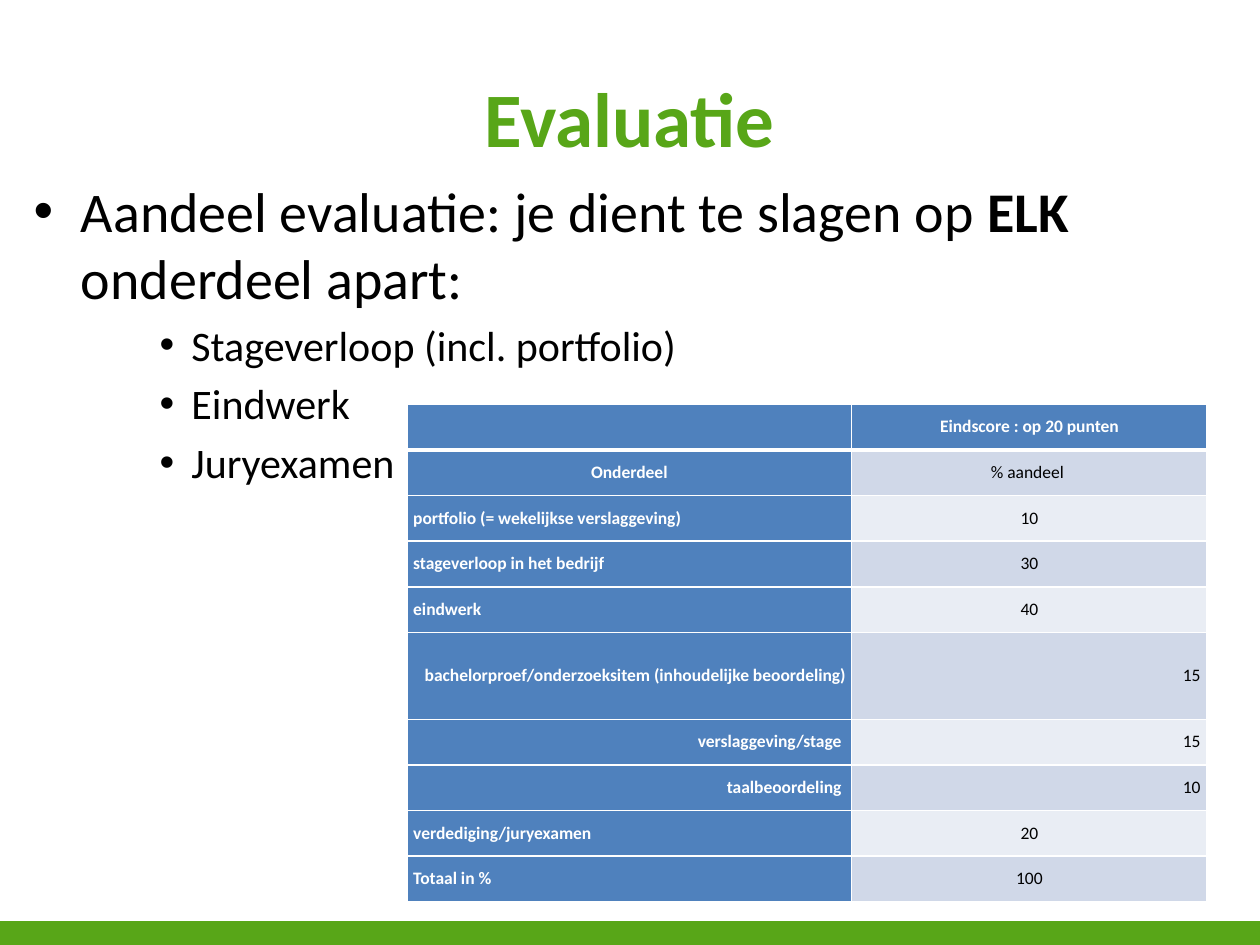
from pptx import Presentation
from pptx.dml.color import RGBColor
from pptx.enum.shapes import MSO_SHAPE as Shape
from pptx.enum.text import MSO_ANCHOR as Anchor, PP_ALIGN as Align
from pptx.oxml.xmlchemy import OxmlElement as Node
from pptx.util import Cm, Pt

GREEN, BLUE, WHITE, BLACK = "58A618", "4F81BD", "FFFFFF", "000000"
BANDS = ["D0D8E8", "E9EDF4"]
LEFT, MID, RIGHT = Align.LEFT, Align.CENTER, Align.RIGHT

HEAD = ("", "Eindscore : op 20 punten", MID, MID)
ROWS = [
    ("Onderdeel", "% aandeel ", MID, MID),
    ("portfolio (= wekelijkse verslaggeving)", "10", LEFT, MID),
    ("stageverloop in het bedrijf", "30", LEFT, MID),
    ("eindwerk", "40", LEFT, MID),
    ("bachelorproef/onderzoeksitem (inhoudelijke beoordeling)", "15", RIGHT, RIGHT),
    ("verslaggeving/stage ", "15", RIGHT, RIGHT),
    ("taalbeoordeling ", "10", RIGHT, RIGHT),
    ("verdediging/juryexamen", "20", LEFT, MID),
    ("Totaal in %", "100", LEFT, MID),
]
TALL = 5


def color(code):
    return RGBColor.from_string(code)


def bullet(para, left, hang):
    """Give the paragraph a round bullet; left and hang are in cm."""
    props = para._p.get_or_add_pPr()
    props.set("marL", str(Cm(left)))
    props.set("indent", str(-Cm(hang)))
    font = Node("a:buFont")
    font.set("typeface", "Arial")
    mark = Node("a:buChar")
    mark.set("char", "•")
    props.extend([font, mark])


def border(cell, top, base):
    """Draw white cell edges; top and base are widths in points."""
    props = cell._tc.get_or_add_tcPr()
    for side, width in zip("LRTB", (1, 1, top, base)):
        line = Node(f"a:ln{side}")
        line.set("w", str(Pt(width)))
        fill = Node("a:solidFill")
        tint = Node("a:srgbClr")
        tint.set("val", WHITE)
        fill.append(tint)
        line.append(fill)
        props.append(line)


class Deck:
    """Holds the font and the current slide."""

    def __init__(self, slide, font="Calibri"):
        self.slide = slide
        self.font = font

    def run(self, para, text, size, ink=BLACK, bold=False):
        run = para.add_run()
        run.text = text
        font = run.font
        font.name, font.size, font.bold = self.font, Pt(size), bold
        font.color.rgb = color(ink)

    def bar(self, x, y, w, h, fill):
        bar = self.slide.shapes.add_shape(Shape.RECTANGLE, Cm(x), Cm(y), Cm(w), Cm(h))
        bar.shadow.inherit = False
        bar.fill.solid()
        bar.fill.fore_color.rgb = color(fill)
        bar.line.fill.background()

    def box(self, x, y, w, h, anchor=Anchor.TOP):
        box = self.slide.shapes.add_textbox(Cm(x), Cm(y), Cm(w), Cm(h))
        frame = box.text_frame
        frame.word_wrap = True
        frame.vertical_anchor = anchor
        return frame

    def title(self, text):
        para = self.box(1.27, 0.76, 22.86, 3.18, Anchor.MIDDLE).paragraphs[0]
        para.alignment = MID
        self.run(para, text, 44, GREEN, True)

    def body(self, lead, items):
        """Write the lead, a list of (text, bold), and the items below it."""
        frame = self.box(0.43, 3.43, 22.86, 12.57)
        para = frame.paragraphs[0]
        para.space_before = Pt(6.4)
        bullet(para, 0.95, 0.95)
        for text, bold in lead:
            self.run(para, text, 32, bold=bold)
        for item in items:
            para = frame.add_paragraph()
            para.level = 2
            para.space_before = Pt(4.8)
            bullet(para, 3.18, 0.64)
            self.run(para, item, 24)

    def cell(self, cell, text, align, fill, ink, bold):
        cell.margin_left = cell.margin_right = Cm(0.13)
        cell.margin_top = cell.margin_bottom = 0
        cell.vertical_anchor = Anchor.MIDDLE
        cell.fill.solid()
        cell.fill.fore_color.rgb = color(fill)
        para = cell.text_frame.paragraphs[0]
        para.alignment = align
        para.line_spacing = Pt(12)
        if text:
            self.run(para, text, 10, ink, bold)

    def table(self, x, y, cols, high, tall):
        rows = [HEAD] + ROWS
        total = high * (len(rows) - 1) + tall
        table = self.slide.shapes.add_table(
            len(rows), len(cols), Cm(x), Cm(y), Cm(sum(cols)), Cm(total)).table
        for col, width in zip(table.columns, cols):
            col.width = Cm(width)
        for i, (name, score, *sides) in enumerate(rows):
            table.rows[i].height = Cm(tall if i == TALL else high)
            for j, text in enumerate((name, score)):
                cell = table.cell(i, j)
                border(cell, 3 if i == 1 else 1, 3 if i == 0 else 1)
                head = i == 0 or j == 0
                fill = BLUE if head else BANDS[(i - 1) % 2]
                self.cell(cell, text, sides[j], fill, WHITE if head else BLACK, head)


def main():
    show = Presentation()
    show.slide_width, show.slide_height = Cm(25.4), Cm(19.05)
    deck = Deck(show.slides.add_slide(show.slide_layouts[6]))
    deck.bar(0, 18.57, 25.4, 0.5, GREEN)
    deck.title("Evaluatie")
    deck.body(
        [("Aandeel evaluatie: je dient te slagen op ", False),
         ("ELK", True), (" onderdeel apart:", False)],
        ["Stageverloop (incl. portfolio)", "Eindwerk", "Juryexamen"])
    deck.table(8.2, 8.15, [8.97, 7.16], 0.92, 1.75)
    show.save("out.pptx")


if __name__ == "__main__":
    main()
